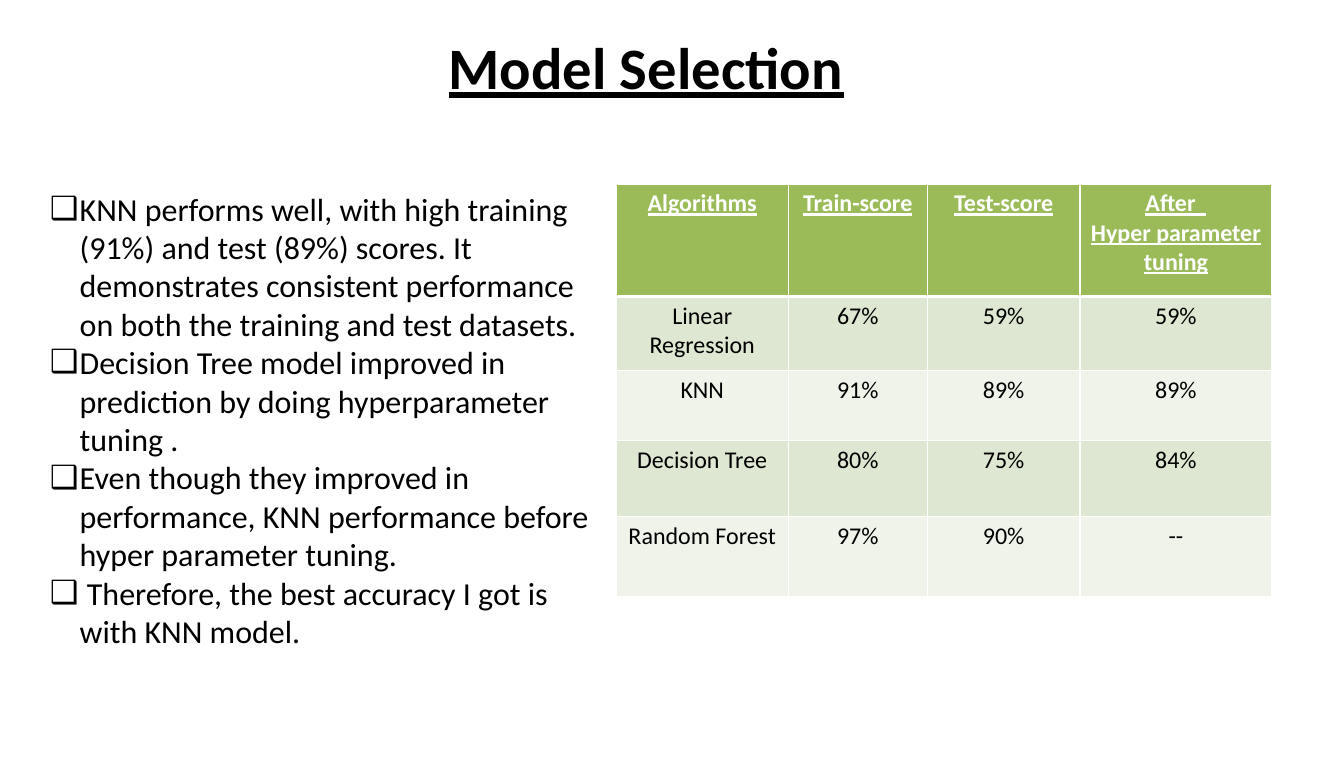
from lxml import etree
from pptx import Presentation
from pptx.dml.color import RGBColor
from pptx.enum.text import MSO_ANCHOR, MSO_AUTO_SIZE, PP_ALIGN
from pptx.oxml.ns import qn
from pptx.util import Inches, Pt

CENTER, LEFT = PP_ALIGN.CENTER, PP_ALIGN.LEFT
MIDDLE, TOP = MSO_ANCHOR.MIDDLE, MSO_ANCHOR.TOP
NO_AUTOFIT = MSO_AUTO_SIZE.NONE
TITLE_AND_CONTENT = 1

FONT = "Calibri"
COLORS = {
    "text": "000000",
    "white": "FFFFFF",
    "header": "9BBB59",
    "band_dark": "DEE7D1",
    "band_light": "EFF3EA",
}

FINDINGS = [
    "KNN performs well, with high training (91%) and test (89%) scores. "
    "It demonstrates consistent performance on both the training and test datasets.",
    "Decision Tree model improved in prediction by doing hyperparameter tuning .",
    "Even though they improved in performance, KNN performance before "
    "hyper parameter tuning.",
    " Therefore, the best accuracy I got is with KNN model.",
]

SCORES = [
    ["Algorithms", "Train-score", "Test-score", "After  \nHyper parameter tuning"],
    ["Linear Regression", "67%", "59%", "59%"],
    ["KNN", "91%", "89%", "89%"],
    ["Decision Tree", "80%", "75%", "84%"],
    ["Random Forest", "97%", "90%", "--"],
]
COLUMN_WIDTHS = [1.79, 1.45, 1.59, 2]
ROW_HEIGHTS = [1.17, 0.77, 0.73, 0.79, 0.84]


def write_text(text_frame, text, size, color="text", bold=False,
               underline=False, align=LEFT):
    """Fill a text frame with one paragraph per line of text."""
    text_frame.text = text
    for paragraph in text_frame.paragraphs:
        paragraph.alignment = align
        paragraph.space_before = Pt(0)
        for run in paragraph.runs:
            font = run.font
            font.name, font.size = FONT, Pt(size)
            font.bold, font.underline = bold, underline
            font.color.rgb = RGBColor.from_string(COLORS[color])


def place(shape, left, top, width, height):
    shape.left, shape.top = Inches(left), Inches(top)
    shape.width, shape.height = Inches(width), Inches(height)


def add_bullet(paragraph, character, indent):
    properties = paragraph._p.get_or_add_pPr()
    properties.set("marL", str(Inches(indent)))
    properties.set("indent", str(-Inches(indent)))
    bullet = etree.SubElement(properties, qn("a:buChar"))
    bullet.set("char", character)


def set_borders(cell, top=1, bottom=1):
    properties = cell._tc.get_or_add_tcPr()
    sides = {"a:lnL": 1, "a:lnR": 1, "a:lnT": top, "a:lnB": bottom}
    for position, (side, width) in enumerate(sides.items()):
        line = etree.Element(qn(side), w=str(Pt(width)))
        fill = etree.SubElement(line, qn("a:solidFill"))
        etree.SubElement(fill, qn("a:srgbClr"), val=COLORS["white"])
        properties.insert(position, line)


def add_title(slide, text):
    title = slide.shapes.title
    place(title, 4.37, 0.02, 4.72, 1.33)
    write_text(title.text_frame, text, 44, bold=True, underline=True, align=CENTER)
    title.text_frame.vertical_anchor = MIDDLE
    title.text_frame.auto_size = NO_AUTOFIT


def add_findings(slide, findings):
    body = slide.placeholders[1]
    place(body, 0.42, 1.92, 5.83, 4.95)
    text_frame = body.text_frame
    write_text(text_frame, "\n".join(findings), 24)
    text_frame.vertical_anchor = TOP
    text_frame.auto_size = NO_AUTOFIT
    for paragraph in text_frame.paragraphs:
        add_bullet(paragraph, "❑", 0.31)


def add_score_table(slide, scores):
    table = slide.shapes.add_table(
        len(scores), len(scores[0]), Inches(6.42), Inches(1.92),
        Inches(sum(COLUMN_WIDTHS)), Inches(sum(ROW_HEIGHTS))).table
    for column, width in zip(table.columns, COLUMN_WIDTHS):
        column.width = Inches(width)
    for row, height in zip(table.rows, ROW_HEIGHTS):
        row.height = Inches(height)

    for row_index, values in enumerate(scores):
        is_header = row_index == 0
        band = "band_dark" if row_index % 2 else "band_light"
        for column_index, value in enumerate(values):
            cell = table.cell(row_index, column_index)
            write_text(cell.text_frame, value, 18,
                       color="white" if is_header else "text",
                       bold=is_header, underline=is_header, align=CENTER)
            cell.fill.solid()
            cell.fill.fore_color.rgb = RGBColor.from_string(
                COLORS["header" if is_header else band])
            # A thick rule parts the header from the scores
            set_borders(cell, top=3 if row_index == 1 else 1,
                        bottom=3 if is_header else 1)


def main():
    presentation = Presentation()
    presentation.slide_width = Inches(14)
    presentation.slide_height = Inches(8)
    layout = presentation.slide_layouts[TITLE_AND_CONTENT]
    slide = presentation.slides.add_slide(layout)

    add_title(slide, "Model Selection")
    add_findings(slide, FINDINGS)
    add_score_table(slide, SCORES)

    presentation.save("out.pptx")


if __name__ == "__main__":
    main()
